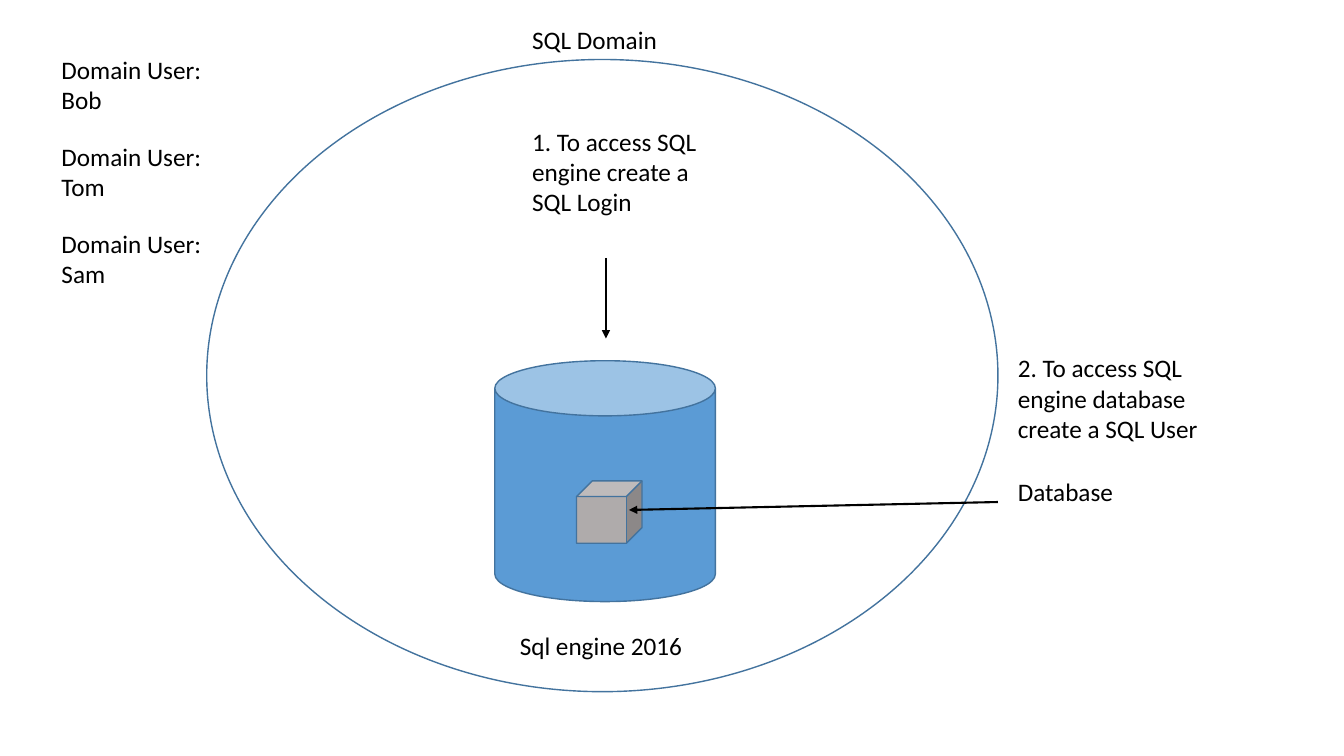
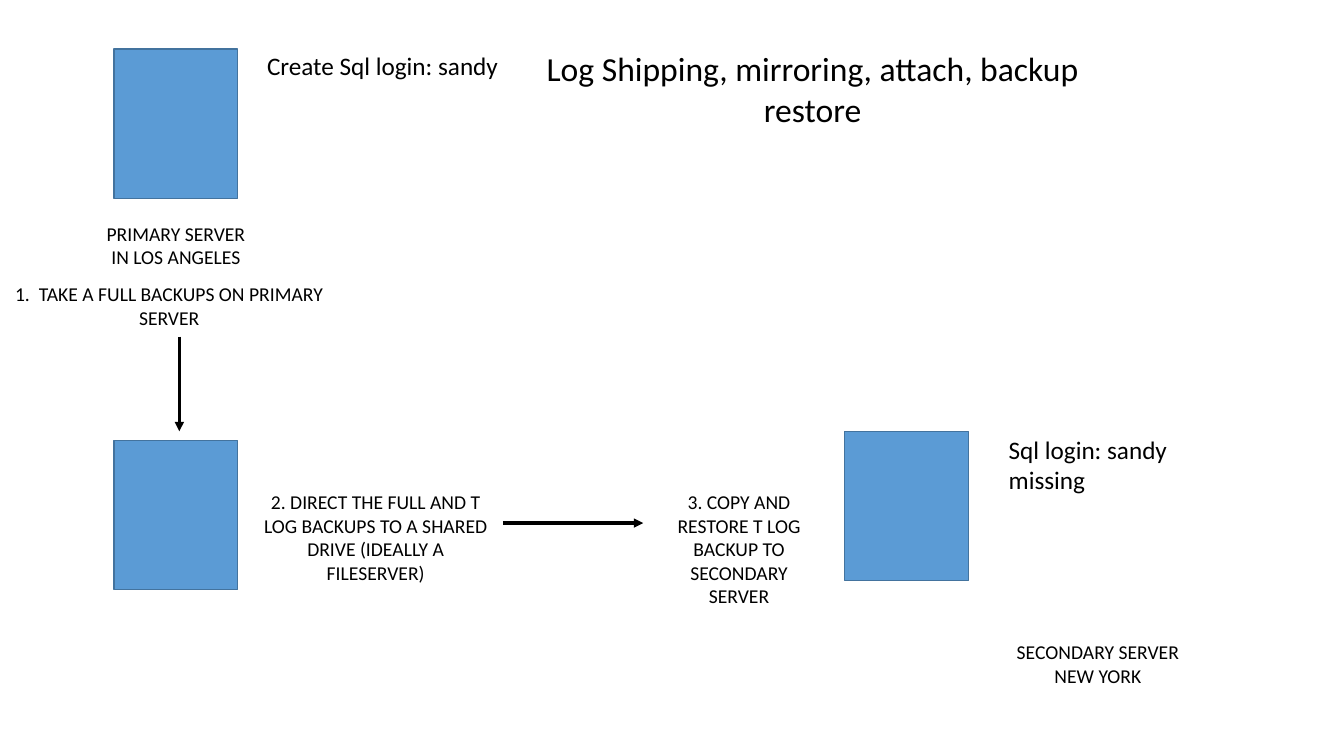
"""Two slides: SQL logins and users, and log shipping between two servers."""
from lxml import etree
from pptx import Presentation
from pptx.dml.color import RGBColor
from pptx.enum.shapes import MSO_CONNECTOR, MSO_SHAPE
from pptx.enum.text import PP_ALIGN
from pptx.oxml.ns import qn
from pptx.util import Cm, Pt

OVAL, CAN, CUBE = MSO_SHAPE.OVAL, MSO_SHAPE.CAN, MSO_SHAPE.CUBE
RECTANGLE = MSO_SHAPE.RECTANGLE
STRAIGHT = MSO_CONNECTOR.STRAIGHT
LEFT, CENTER = PP_ALIGN.LEFT, PP_ALIGN.CENTER

COLORS = {"text": "000000", "server": "5B9BD5", "outline": "43739E", "database": "AFABAB"}
FONT = "Calibri"
BODY, STEP, TITLE = 18, 14, 24


def color(name):
    """Return the named colour."""
    return RGBColor.from_string(COLORS[name])


def add_label(slide, box, text, size=BODY, align=LEFT):
    """Add wrapped text in a box of left, top, width, height; one paragraph a line."""
    frame = slide.shapes.add_textbox(*map(Cm, box)).text_frame
    frame.word_wrap = True
    frame.text = text
    for paragraph in frame.paragraphs:
        paragraph.alignment = align
        paragraph.font.name = FONT
        paragraph.font.size = Pt(size)
        paragraph.font.color.rgb = color("text")


def add_step(slide, box, text):
    """Add a small centred label."""
    add_label(slide, box, text, STEP, CENTER)


def add_figure(slide, kind, box, fill=None):
    """Add an outlined shape, hollow unless a fill is named."""
    figure = slide.shapes.add_shape(kind, *map(Cm, box))
    figure.shadow.inherit = False
    if fill:
        figure.fill.solid()
        figure.fill.fore_color.rgb = color(fill)
    else:
        figure.fill.background()
    figure.line.color.rgb = color("outline")
    figure.line.width = Pt(1)


def add_arrow(slide, start, end, width):
    """Add a straight arrow pointing at end."""
    arrow = slide.shapes.add_connector(STRAIGHT, *map(Cm, (*start, *end)))
    arrow.line.color.rgb = color("text")
    arrow.line.width = Pt(width)
    outline = arrow.line._get_or_add_ln()
    etree.SubElement(outline, qn("a:tailEnd"), type="triangle")
    etree.SubElement(outline.getparent(), qn("a:effectLst"))


def build_access(slide):
    """Show how domain users reach the server and its database."""
    add_figure(slide, OVAL, (5.21, 1.5, 19.94, 15.93))
    add_label(slide, (13.16, 0.48, 4.39, 1.02), "SQL Domain")
    for row, user in enumerate(("Bob", "Tom", "Sam")):
        add_label(slide, (1.3, 1.24 + row * 2.19, 4.24, 1.8), f"Domain User: {user}")
    add_label(slide, (12.85, 15.77, 4.8, 1.02), "Sql engine 2016")
    add_figure(slide, CAN, (12.47, 9.09, 5.56, 6.07), "server")
    add_figure(slide, CUBE, (14.53, 12.12, 1.65, 1.57), "database")
    add_arrow(slide, (25.15, 12.65), (15.85, 12.85), 1.5)
    add_label(slide, (25.4, 11.89, 3.38, 1.02), "Database")
    add_label(slide, (13.16, 3.05, 5.13, 2.57), "1. To access SQL engine create a SQL Login")
    add_label(slide, (25.4, 8.76, 5.38, 2.57),
              "2. To access SQL engine database create a SQL User")
    add_arrow(slide, (15.27, 6.5), (15.27, 8.53), 1.5)


def build_log_shipping(slide):
    """Show backups going from the primary to the secondary server."""
    for left, top in ((2.87, 1.24), (2.87, 11.1), (21.29, 10.87)):
        add_figure(slide, RECTANGLE, (left, top, 3.12, 3.76), "server")
    add_step(slide, (2.39, 5.46, 4.09, 1.45), "PRIMARY SERVER IN LOS ANGELES")
    add_step(slide, (25.22, 16, 4.9, 1.45), "SECONDARY SERVER\nNEW YORK")
    add_step(slide, (0.05, 6.99, 8.43, 1.45), "1.  TAKE A FULL BACKUPS ON PRIMARY SERVER")
    add_step(slide, (6.27, 12.22, 6.4, 2.64),
             "2. DIRECT THE FULL AND T LOG BACKUPS TO A SHARED DRIVE (IDEALLY A FILESERVER)")
    add_step(slide, (16.76, 12.22, 3.73, 3.25),
             "3. COPY AND RESTORE T LOG BACKUP TO SECONDARY SERVER")
    add_arrow(slide, (4.52, 8.48), (4.52, 10.87), 2.25)
    add_arrow(slide, (12.67, 13.18), (16.21, 13.18), 2.25)
    add_label(slide, (12.67, 1.09, 15.62, 2.31),
              "Log Shipping, mirroring, attach, backup restore", TITLE, CENTER)
    add_label(slide, (6.48, 1.14, 6.45, 2.57), "Create Sql login: sandy")
    add_label(slide, (25.17, 10.82, 6.45, 2.57), "Sql login: sandy missing")


def main():
    """Build and save the presentation."""
    deck = Presentation()
    deck.slide_width, deck.slide_height = Cm(33.87), Cm(19.05)
    blank = deck.slide_layouts[6]
    for build in (build_access, build_log_shipping):
        build(deck.slides.add_slide(blank))
    deck.save("out.pptx")


main()
